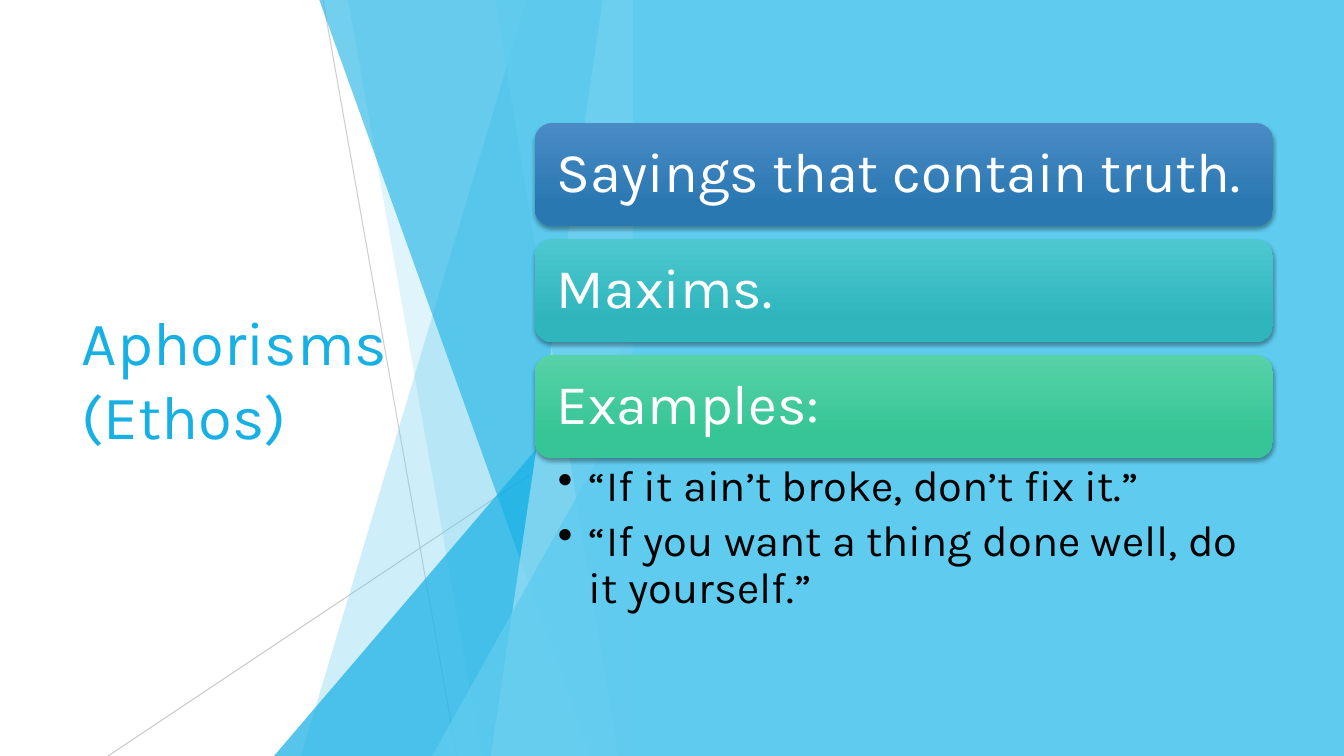
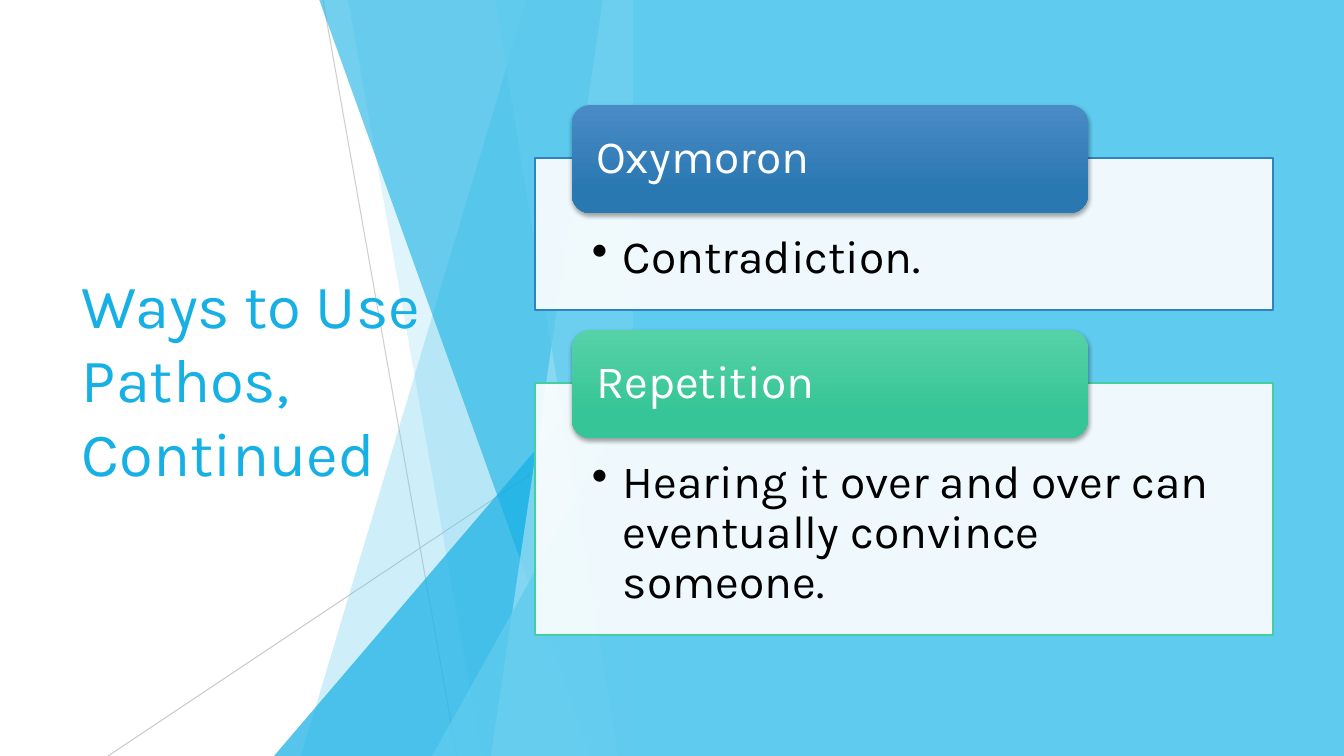
import pptx
import pptx.dml.color
import pptx.enum.shapes
import pptx.enum.text
import pptx.oxml.ns
import pptx.util
from lxml import etree

WIDTH, HEIGHT = 1344, 756
SCALE = 12192000 / WIDTH
FONT = "Karla"
SKY, CYAN, PALE, GREY = "5FCBEF", "17B0E4", "9FE0F5", "BFBFBF"
WHITE, BLACK = "FFFFFF", "000000"
BLUE_BLEND = ("4A8BC6", "2A78B2")
TEAL_BLEND = ("4DC8D0", "2FB5BC")
GREEN_BLEND = ("56D2A7", "36C596")

PANEL_LEFT = 633
CARD_LEFT, CARD_WIDTH = 535, 738
TAB_LEFT, TAB_WIDTH, TAB_HEIGHT = 572, 516, 108
ROW_TOP, ROW_PITCH, ROW_HEIGHT = 123, 116, 103
BULLET_INDENT = 31

qn = pptx.oxml.ns.qn
color_of = pptx.dml.color.RGBColor.from_string
shape_kinds = pptx.enum.shapes.MSO_SHAPE
anchors = pptx.enum.text.MSO_ANCHOR


def px(*lengths):
    return [pptx.util.Emu(round(length * SCALE)) for length in lengths]


def write(shape, texts, size, color, margins, anchor, spacing=0.9, bullets=False):
    """Fill a shape with left-aligned paragraphs; margins are left, top, right, bottom."""
    frame = shape.text_frame
    left, top, right, bottom = px(*margins)
    frame_format = {
        "word_wrap": True,
        "auto_size": pptx.enum.text.MSO_AUTO_SIZE.NONE,
        "vertical_anchor": anchor,
        "margin_left": left,
        "margin_top": top,
        "margin_right": right,
        "margin_bottom": bottom,
    }
    for name, value in frame_format.items():
        setattr(frame, name, value)
    for index, text in enumerate(texts):
        para = frame.add_paragraph() if index else frame.paragraphs[0]
        para.alignment = pptx.enum.text.PP_ALIGN.LEFT
        para.line_spacing = spacing
        span = para.add_run()
        span.text = text
        for name, value in {"name": FONT, "size": pptx.util.Pt(size)}.items():
            setattr(span.font, name, value)
        span.font.color.rgb = color_of(color)
        if bullets:
            para.space_after = pptx.util.Pt(6)
            indent = px(BULLET_INDENT)[0]
            properties = para._p.get_or_add_pPr()
            properties.set("marL", str(indent))
            properties.set("indent", str(-indent))
            etree.SubElement(properties, qn("a:buChar"), char="•")


# Start and end points, opacity
guide_lines = [
    ((323, 0, 457, HEIGHT), 75),
    ((PANEL_LEFT, 406, 108, HEIGHT), 80),
]
# Shards end at the panel: a quad has its top-left and bottom-left x,
# a triangle its bottom-left x and the y of its tip
shards = [
    ("quad", 527, 301, SKY, 30),
    ("quad", 348, 482, SKY, 20),
    ("triangle", 274, 336, CYAN, 72),
    ("quad", 319, 591, CYAN, 60),
    ("quad", 603, 491, PALE, 70),
    ("quad", 495, 618, SKY, 65),
    ("triangle", 432, 396, SKY, 80),
]

rows = [
    ("Sayings that contain truth.", BLUE_BLEND),
    ("Maxims.", TEAL_BLEND),
    ("Examples:", GREEN_BLEND),
]
tabs = [("Oxymoron", 105, BLUE_BLEND), ("Repetition", 330, GREEN_BLEND)]

pages = [
    {
        "title": "Aphorisms (Ethos)",
        "bodies": [
            (["“If it ain’t broke, don’t fix it.”",
              "“If you want a thing done well, do it yourself.”"],
             458, 159, (23, 6, 31, 6), 31, None),
        ],
        "cards": [
            (text, (CARD_LEFT, ROW_TOP + index * ROW_PITCH, CARD_WIDTH, ROW_HEIGHT),
             17, 40, blend)
            for index, (text, blend) in enumerate(rows)
        ],
    },
    {
        "title": "Ways to Use Pathos, Continued",
        "bodies": [
            (["Contradiction."], 158, 152, (57, 76, 57, 26), 33, "2E83C3"),
            (["Hearing it over and over can eventually convince someone."],
             383, 252, (57, 76, 57, 26), 33, "42D0A2"),
        ],
        "cards": [
            (text, (TAB_LEFT, top, TAB_WIDTH, TAB_HEIGHT), 19, 33, blend)
            for text, top, blend in tabs
        ],
    },
]

deck = pptx.Presentation()
deck.slide_width, deck.slide_height = px(WIDTH, HEIGHT)

for content in pages:
    page = deck.slides.add_slide(deck.slide_layouts[5])
    shapes = page.shapes
    translucent = []

    for points, opacity in guide_lines:
        guide = shapes.add_connector(pptx.enum.shapes.MSO_CONNECTOR.STRAIGHT, *px(*points))
        guide.line.color.rgb = color_of(GREY)
        guide.line.width = pptx.util.Pt(0.75)
        etree.SubElement(guide.element.spPr, qn("a:effectLst"))
        translucent.append((guide, opacity))

    for kind, first, second, color, opacity in shards:
        if kind == "quad":
            builder = shapes.build_freeform(first, -1, scale=SCALE)
            builder.add_line_segments(
                [(PANEL_LEFT, -1), (PANEL_LEFT, HEIGHT), (second, HEIGHT)], close=True)
            shard = builder.convert_to_shape()
        else:
            shard = shapes.add_shape(
                shape_kinds.ISOSCELES_TRIANGLE,
                *px(first, second, PANEL_LEFT - first, HEIGHT - second))
            shard.adjustments[0] = 1
        shard.shadow.inherit = False
        shard.fill.solid()
        shard.fill.fore_color.rgb = color_of(color)
        shard.line.fill.background()
        translucent.append((shard, opacity))

    title = shapes.title
    title.left, title.top, title.width, title.height = px(72, 152, 391, 452)
    write(title, [content["title"]], 44, CYAN, (10, 5, 10, 5), anchors.MIDDLE, spacing=1.0)
    title.element.getparent().append(title.element)  # lift the title above the shards

    panel = shapes.add_shape(
        shape_kinds.RECTANGLE, *px(PANEL_LEFT, 0, WIDTH - PANEL_LEFT, HEIGHT))
    panel.shadow.inherit = False
    panel.fill.solid()
    panel.fill.fore_color.rgb = color_of(SKY)
    panel.line.fill.background()

    for texts, top, height, margins, size, outline in content["bodies"]:
        area = px(CARD_LEFT, top, CARD_WIDTH, height)
        if outline:
            body = shapes.add_shape(shape_kinds.RECTANGLE, *area)
            body.shadow.inherit = False
            body.fill.solid()
            body.fill.fore_color.rgb = color_of(WHITE)
            body.line.color.rgb = color_of(outline)
            body.line.width = pptx.util.Pt(1)
            translucent.append((body, 90))
        else:
            body = shapes.add_textbox(*area)
        write(body, texts, size, BLACK, margins, anchors.TOP, bullets=True)

    for text, area, inset, size, blend in content["cards"]:
        card = shapes.add_shape(shape_kinds.ROUNDED_RECTANGLE, *px(*area))
        card.line.fill.background()
        card.fill.gradient()
        card.fill.gradient_angle = 270
        for stop, color, position in zip(card.fill.gradient_stops, blend, (0, 0.78)):
            stop.color.rgb = color_of(color)
            stop.position = position
        card.shadow.inherit = False
        shadow = etree.SubElement(
            card.element.spPr.find(qn("a:effectLst")), qn("a:outerShdw"),
            blurRad=str(pptx.util.Pt(3)), dist=str(pptx.util.Pt(2)),
            dir="5400000", rotWithShape="0")
        shade = etree.SubElement(shadow, qn("a:srgbClr"), val=BLACK)
        etree.SubElement(shade, qn("a:alpha"), val="35000")
        write(card, [text], size, WHITE, (inset, 0, inset, 0), anchors.MIDDLE)

    for shape, opacity in translucent:
        paint = next(shape.element.spPr.iter(qn("a:srgbClr")))
        etree.SubElement(paint, qn("a:alpha"), val=str(opacity * 1000))

deck.save("out.pptx")
